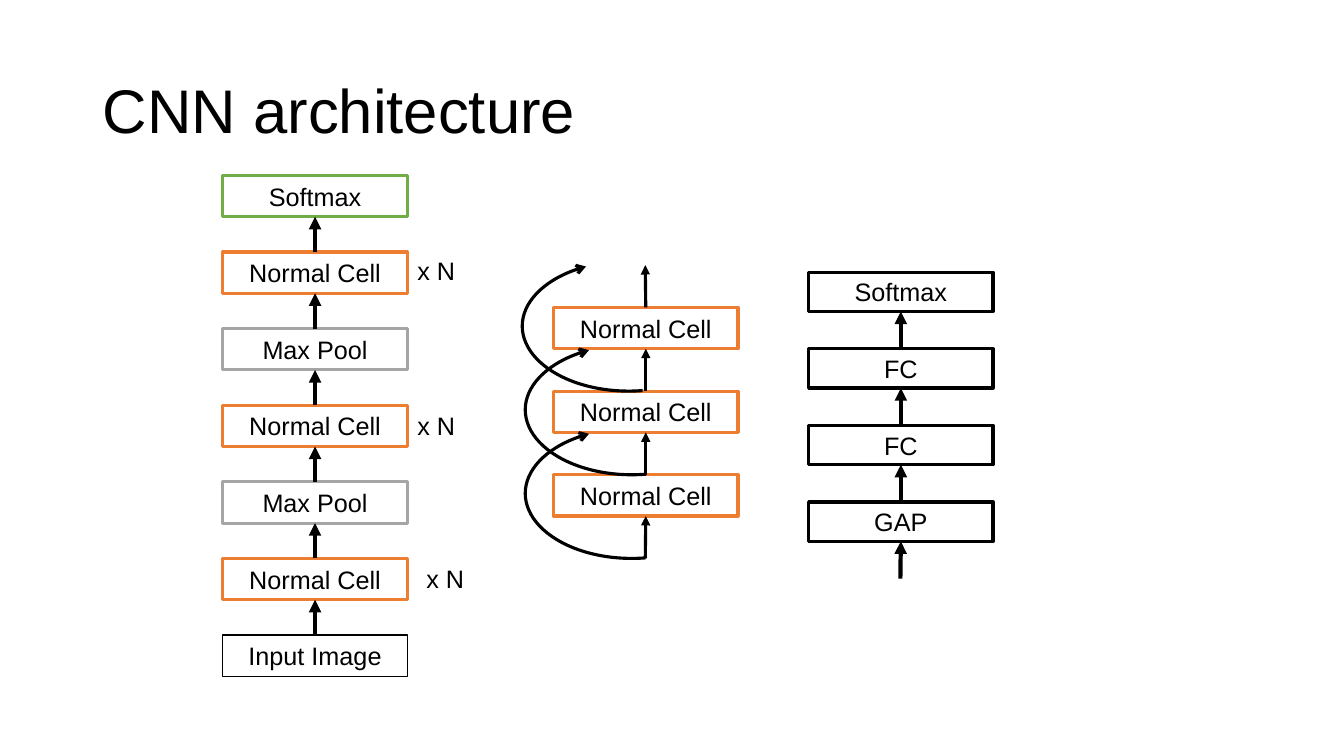
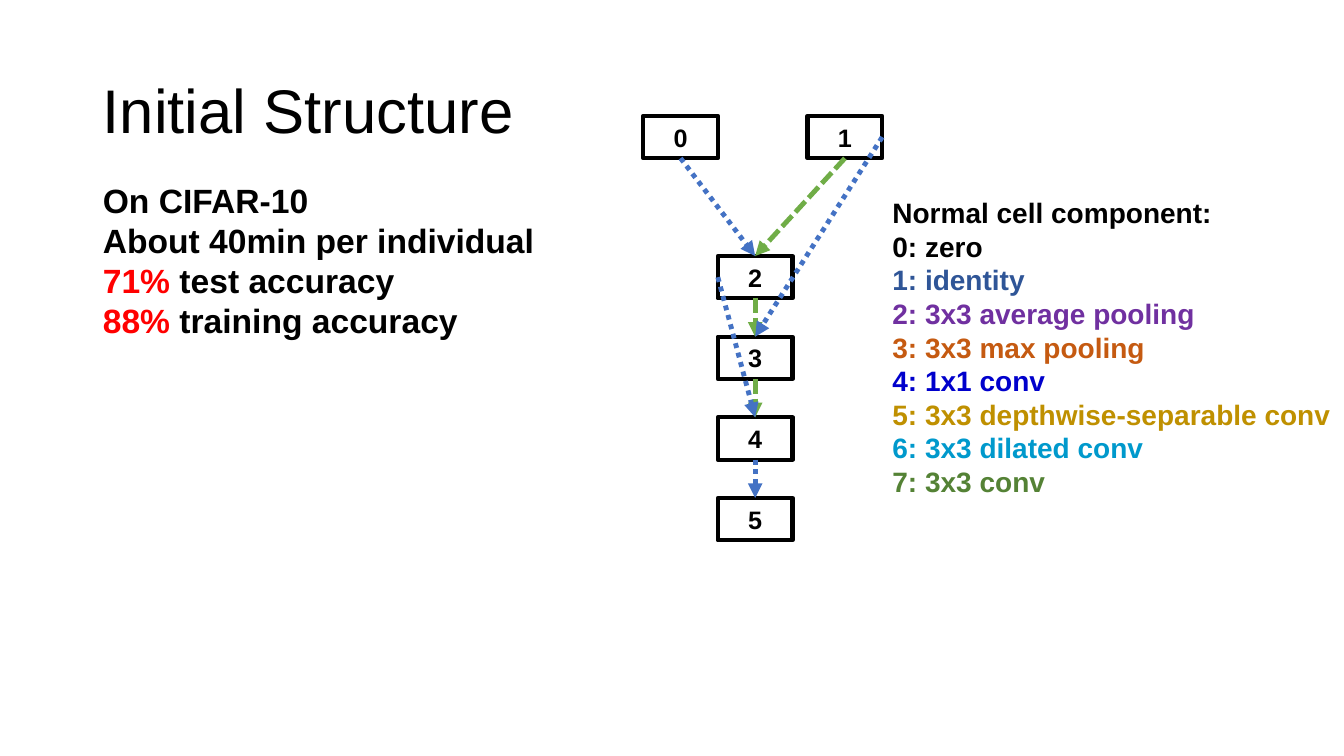
from lxml import etree
from pptx import Presentation
from pptx import util as u
from pptx.dml.color import RGBColor
from pptx.enum import dml, shapes, text
from pptx.oxml import ns

PX = 9144
FONT = "Arial"
COLORS = {
    "black": "000000", "white": "FFFFFF", "orange": "ED7D31", "gray": "A5A5A5",
    "green": "70AD47", "blue": "4472C4", "red": "FF0000", "navy": "2F5597",
    "purple": "7030A0", "rust": "C55A11", "royal": "0000CC", "gold": "BF9000",
    "cyan": "0099CC", "forest": "548235",
}
RGB = {name: RGBColor.from_string(value) for name, value in COLORS.items()}


def add_box(page, label, left, top, width, height, color, line_width, fill=None, bold=False):
    box = page.shapes.add_shape(
        shapes.MSO_SHAPE.RECTANGLE, left * PX, top * PX, width * PX, height * PX)
    box.shadow.inherit = False
    if fill:
        box.fill.solid()
        box.fill.fore_color.rgb = RGB[fill]
    else:
        box.fill.background()
    box.line.color.rgb = RGB[color]
    box.line.width = u.Pt(line_width)
    box.text_frame.vertical_anchor = text.MSO_ANCHOR.MIDDLE
    para = box.text_frame.paragraphs[0]
    para.alignment = text.PP_ALIGN.CENTER
    span = para.add_run()
    span.text = label
    span.font.name, span.font.size, span.font.bold = FONT, u.Pt(18), bold
    span.font.color.rgb = RGB["black"]
    return box


def add_arrow(page, start, finish, color, line_width, dash=None):
    arrow = page.shapes.add_connector(shapes.MSO_CONNECTOR.STRAIGHT, 0, 0, 0, 0)
    if isinstance(start[0], int):
        arrow.begin_x, arrow.begin_y = start[0] * PX, start[1] * PX
    else:
        arrow.begin_connect(*start)
    if isinstance(finish[0], int):
        arrow.end_x, arrow.end_y = finish[0] * PX, finish[1] * PX
    else:
        arrow.end_connect(*finish)
    arrow.line.color.rgb = RGB[color]
    arrow.line.width = u.Pt(line_width)
    if dash:
        arrow.line.dash_style = dash
    props = arrow.element.spPr
    etree.SubElement(props.find(ns.qn("a:ln")), ns.qn("a:tailEnd"), type="triangle")
    etree.SubElement(props, ns.qn("a:effectLst"))


deck = Presentation()
deck.slide_width, deck.slide_height = u.Inches(13.33), u.Inches(7.5)

pages = []
for heading, layout in [("CNN architecture", 5), ("Initial Structure", 3)]:
    page = deck.slides.add_slide(deck.slide_layouts[layout])
    title = page.shapes.title
    title.left, title.top, title.width, title.height = 92 * PX, 40 * PX, 1150 * PX, 145 * PX
    title.text_frame.vertical_anchor = text.MSO_ANCHOR.MIDDLE
    title.text_frame.auto_size = text.MSO_AUTO_SIZE.NONE
    para = title.text_frame.paragraphs[0]
    para.alignment = text.PP_ALIGN.LEFT
    para.line_spacing = 0.9
    span = para.add_run()
    span.text = heading
    span.font.name, span.font.size = FONT, u.Pt(44)
    span.font.color.rgb = RGB["black"]
    pages.append(page)
architecture, structure = pages

normal = ("Normal Cell", "orange", 2.25)
pool = ("Max Pool", "gray", 2.25)
network = [("Softmax", "green", 2.25), normal, pool, normal, pool, normal,
           ("Input Image", "black", 1)]
head_layers = [(label, "black", 2.25) for label in ("Softmax", "FC", "FC", "GAP")]
stacks = [
    (network, 221, 174, 76, 41, "white", 3),
    (head_layers, 802, 270, 76, 39, None, 3),
    ([normal] * 3, 549, 305, 83, 41, "white", 2.25),
]
for layers, left, top, pitch, height, fill, arrow_width in stacks:
    above = None
    for row, (label, color, line_width) in enumerate(layers):
        box = add_box(architecture, label, left, top + row * pitch, 183, height,
                      color, line_width, fill)
        if above:
            add_arrow(architecture, (box, 0), (above, 2), "black", arrow_width)
        elif label == "Normal Cell":
            add_arrow(architecture, (box, 0), (640, 263), "black", arrow_width)
        above = box
    if label != "Input Image":
        center = left + 91
        bottom = top + row * pitch + height
        add_arrow(architecture, (center, bottom + pitch - height), (box, 2),
                  "black", arrow_width)

for left, top in [(404, 248), (404, 402), (413, 554)]:
    repeat = architecture.shapes.add_textbox(left * PX, top * PX, 59 * PX, 40 * PX)
    repeat.text_frame.word_wrap = False
    span = repeat.text_frame.paragraphs[0].add_run()
    span.text = "x N"
    span.font.name, span.font.size = FONT, u.Pt(18)
    span.font.color.rgb = RGB["black"]

for row, left in enumerate([518, 521, 521]):
    skip = architecture.shapes.add_shape(
        shapes.MSO_SHAPE.ARC, left * PX, (259 + row * 83) * PX, 211 * PX, 129 * PX)
    skip.adjustments[0], skip.adjustments[1] = 46.64, 140.63
    skip.shadow.inherit = False
    skip.fill.background()
    skip.line.color.rgb = RGB["black"]
    skip.line.width = u.Pt(2.25)
    etree.SubElement(skip.element.spPr.find(ns.qn("a:ln")), ns.qn("a:tailEnd"), type="arrow")

results = [
    [("On CIFAR-10", "black")],
    [("About 40min per individual", "black")],
    [("71% ", "red"), ("test accuracy", "black")],
    [("88% ", "red"), ("training accuracy", "black")],
]
components = [
    [("Normal cell component:", "black")],
    [("0: zero", "black")],
    [("1: identity", "navy")],
    [("2: 3x3 average pooling", "purple")],
    [("3: 3x3 max pooling", "rust")],
    [("4: 1x1 conv", "royal")],
    [("5: 3x3 depthwise-separable conv", "gold")],
    [("6: 3x3 dilated conv", "cyan")],
    [("7: 3x3 conv", "forest")],
]
lists = [(1, results, 24, 92, 173, 482, 172), (2, components, 20, 875, 189, 470, 347)]
for index, lines, size, left, top, width, height in lists:
    body = structure.placeholders[index]
    body.left, body.top, body.width, body.height = left * PX, top * PX, width * PX, height * PX
    frame = body.text_frame
    frame.auto_size = text.MSO_AUTO_SIZE.NONE
    for number, spans in enumerate(lines):
        para = frame.add_paragraph() if number else frame.paragraphs[0]
        para.space_before = u.Pt(0)
        props = para._p.get_or_add_pPr()
        props.set("marL", "0")
        props.set("indent", "0")
        etree.SubElement(props, ns.qn("a:buNone"))
        for content, color in spans:
            span = para.add_run()
            span.text = content
            span.font.name, span.font.size, span.font.bold = FONT, u.Pt(size), True
            span.font.color.rgb = RGB[color]

places = [(638, 115), (801, 115)] + [(712, 254 + 80 * row) for row in range(4)]
nodes = [add_box(structure, str(number), left, top, 74, 42, "black", 3, bold=True)
         for number, (left, top) in enumerate(places)]
dashes = {"blue": dml.MSO_LINE.ROUND_DOT, "green": dml.MSO_LINE.SQUARE_DOT}
edges = [(4, 2, 5, "blue"), (1, 2, 2, "green"), (2, 2, 3, "green"), (3, 2, 4, "green"),
         (0, 2, 2, "blue"), (1, 3, 3, "blue"), (2, 1, 4, "blue")]
for source, side, target, color in edges:
    add_arrow(structure, (nodes[source], side), (nodes[target], 0), color, 3.5, dashes[color])

deck.save("out.pptx")
